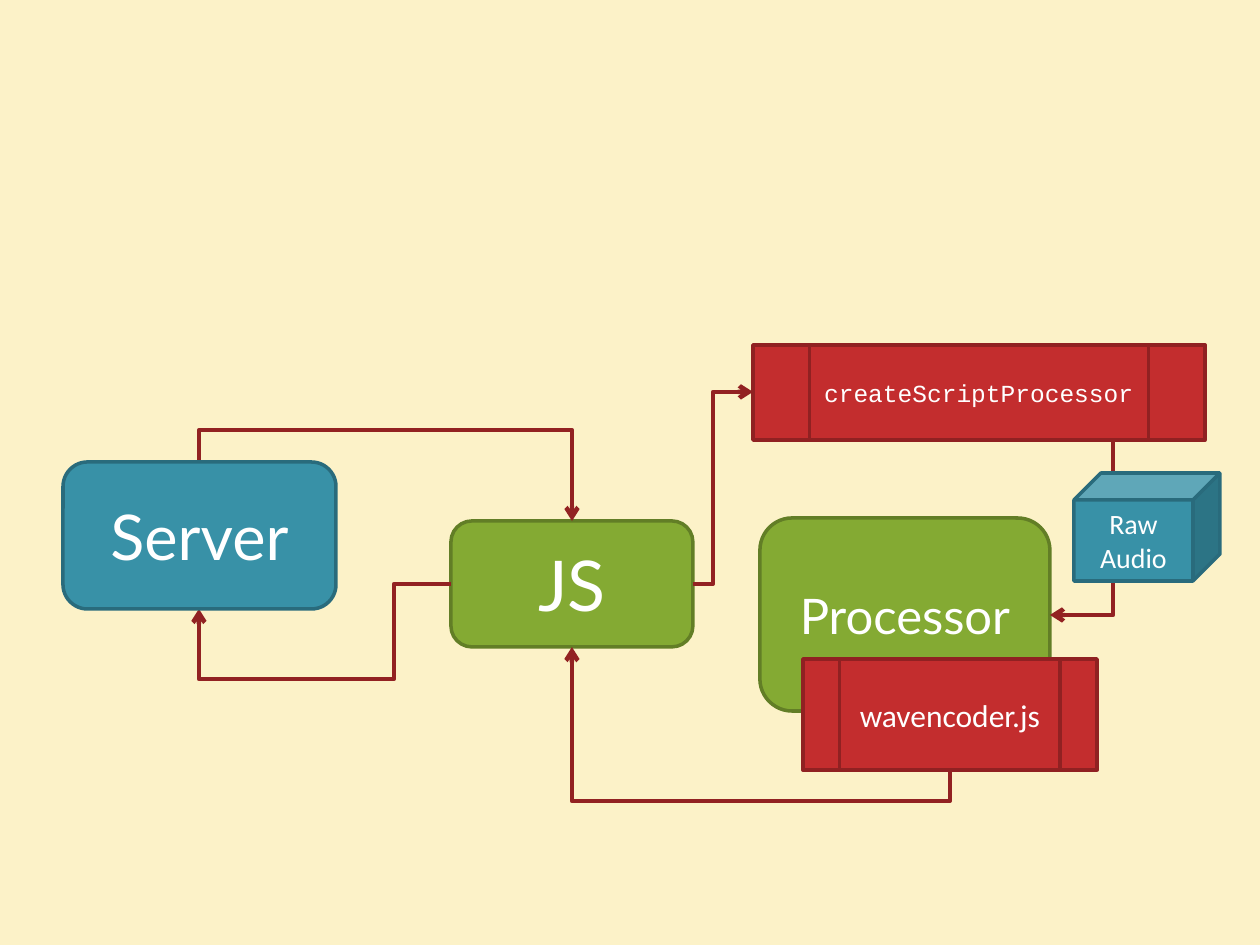
"""Builds a slide showing how audio flows between server, JS and processor."""
import pptx
import pptx.dml.color
import pptx.enum.shapes
import pptx.enum.text
import pptx.oxml.ns
import pptx.util
from lxml import etree

PX = 914400 // 126
SHAPE = pptx.enum.shapes.MSO_SHAPE
THEME = {
    "background": "FCF2C8",
    "text": "FFFFFF",
    "arrow": "922222",
    "blue": ("3891A7", "296B7C"),
    "green": ("84AA33", "627E26"),
    "red": ("C32D2E", "902122"),
    "heading": "Lato",
    "body": "Calibri",
    "code": "Courier New",
    "outline": 2,
    "arrow_width": 2.5,
}

BACK_TO_FRONT = [
    ("box", "JS", SHAPE.ROUNDED_RECTANGLE, (451, 521, 242, 126), "green", "heading", 40),
    ("arrow", (451, 584), (394, 584), (394, 679), (199, 679), (199, 609)),
    ("arrow", (199, 462), (199, 430), (572, 430), (572, 521)),
    ("box", "Server", SHAPE.ROUNDED_RECTANGLE, (63, 462, 273, 147), "blue", "heading", 36),
    ("box", "createScriptProcessor", SHAPE.FLOWCHART_PREDEFINED_PROCESS,
     (753, 345, 452, 95), "red", "code", 14),
    ("arrow", (693, 584), (713, 584), (713, 392), (753, 392)),
    ("box", "Processor", SHAPE.ROUNDED_RECTANGLE, (760, 518, 290, 193), "green", "heading", 28),
    ("box", "wavencoder.js", SHAPE.FLOWCHART_PREDEFINED_PROCESS,
     (803, 659, 294, 111), "red", "body", 18),
    ("arrow", (1113, 440), (1113, 615), (1050, 615)),
    ("box", "Raw Audio", SHAPE.CUBE, (1074, 473, 146, 108), "blue", "body", 16),
    ("arrow", (950, 770), (950, 801), (572, 801), (572, 647)),
]


def rgb(color):
    return pptx.dml.color.RGBColor.from_string(color)


def child(parent, tag, **attributes):
    return etree.SubElement(parent, pptx.oxml.ns.qn(tag), **attributes)


def write(tf, text, font, size, color):
    tf.word_wrap = True
    tf.vertical_anchor = pptx.enum.text.MSO_ANCHOR.MIDDLE
    p = tf.paragraphs[0]
    p.alignment = pptx.enum.text.PP_ALIGN.CENTER
    r = p.add_run()
    r.text = text
    r.font.name = font
    r.font.size = pptx.util.Pt(size)
    r.font.color.rgb = rgb(color)


def add_box(s, text, kind, frame, palette, font, size):
    fill, line = THEME[palette]
    sp = s.shapes.add_shape(kind, *(v * PX for v in frame))
    sp.shadow.inherit = False
    sp.fill.solid()
    sp.fill.fore_color.rgb = rgb(fill)
    sp.line.color.rgb = rgb(line)
    sp.line.width = pptx.util.Pt(THEME["outline"])
    write(sp.text_frame, text, font=THEME[font], size=size, color=THEME["text"])


def add_arrow(s, *route):
    (x1, y1), (x2, y2) = route[0], route[-1]
    turned = route[1][0] == x1
    local = [(y - y1, x1 - x) if turned else (x - x1, y - y1) for x, y in route]
    dx, dy = local[-1]
    width, height = abs(dx), abs(dy)

    cx = s.shapes.add_connector(pptx.enum.shapes.MSO_CONNECTOR.ELBOW, 0, 0, 0, 0)
    cx.left = round(((x1 + x2) - width) / 2 * PX)
    cx.top = round(((y1 + y2) - height) / 2 * PX)
    cx.width, cx.height = width * PX, height * PX
    cx.line.color.rgb = rgb(THEME["arrow"])
    cx.line.width = pptx.util.Pt(THEME["arrow_width"])

    properties = cx._element.spPr
    xfrm = properties.find(pptx.oxml.ns.qn("a:xfrm"))
    xfrm.set("rot", str(5400000 * turned))
    xfrm.set("flipH", str(int(dx < 0)))
    xfrm.set("flipV", str(int(dy < 0)))

    geometry = properties.find(pptx.oxml.ns.qn("a:prstGeom"))
    geometry.set("prst", f"bentConnector{len(route) - 1}")
    guides = geometry.find(pptx.oxml.ns.qn("a:avLst"))
    bends = [local[1][0] / dx, local[2][1] / dy][:len(route) - 3]
    for number, bend in enumerate(bends, 1):
        child(guides, "a:gd", name=f"adj{number}", fmla=f"val {round(bend * 100000)}")

    child(cx.line._get_or_add_ln(), "a:tailEnd", type="arrow")
    child(properties, "a:effectLst")


def main():
    prs = pptx.Presentation()
    prs.slide_width, prs.slide_height = pptx.util.Inches(10), pptx.util.Inches(7.5)
    s = prs.slides.add_slide(prs.slide_layouts[6])
    s.background.fill.solid()
    s.background.fill.fore_color.rgb = rgb(THEME["background"])
    builders = {"box": add_box, "arrow": add_arrow}
    for kind, *details in BACK_TO_FRONT:
        builders[kind](s, *details)
    prs.save("out.pptx")


if __name__ == "__main__":
    main()
